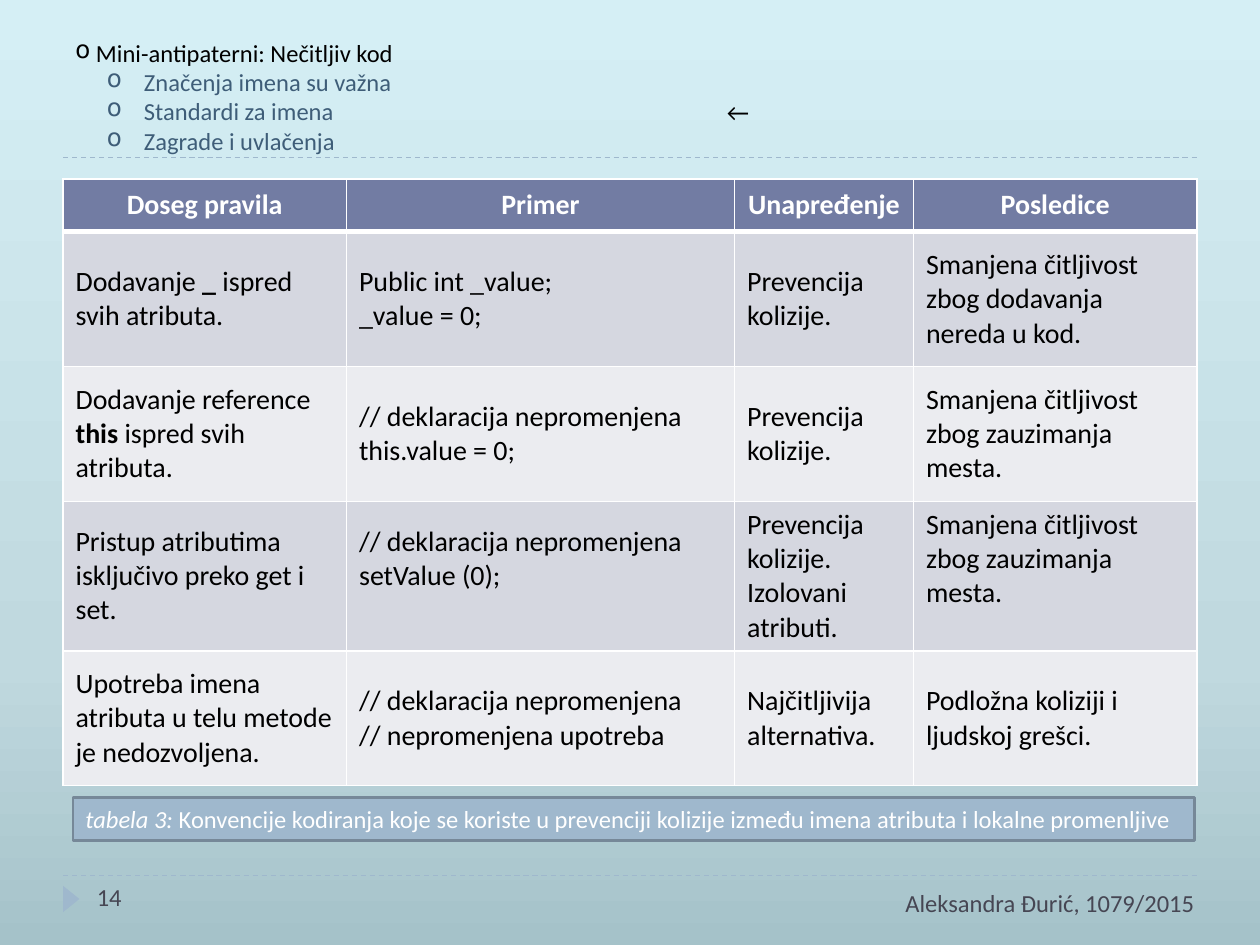
from copy import deepcopy
from lxml import etree
from pptx import Presentation
from pptx.dml.color import RGBColor
from pptx.enum.dml import MSO_LINE
from pptx.enum.shapes import MSO_CONNECTOR, MSO_SHAPE
from pptx.enum.text import MSO_ANCHOR, PP_ALIGN
from pptx.oxml.ns import qn
from pptx.util import Inches, Pt

STRAIGHT = MSO_CONNECTOR.STRAIGHT
DASH = MSO_LINE.DASH
RECT, TRIANGLE = MSO_SHAPE.RECTANGLE, MSO_SHAPE.ISOSCELES_TRIANGLE
MIDDLE = MSO_ANCHOR.MIDDLE
LEFT, CENTER, RIGHT = PP_ALIGN.LEFT, PP_ALIGN.CENTER, PP_ALIGN.RIGHT

FONT = "Calibri"
BLACK = RGBColor(0, 0, 0)
WHITE = RGBColor(255, 255, 255)
BLUE = RGBColor(0x9F, 0xB8, 0xCD)
BLUE_EDGE = RGBColor(0x76, 0x88, 0x98)
TOPIC = RGBColor(0x3E, 0x5D, 0x78)
FOOTER = RGBColor(0x46, 0x46, 0x53)
HEAD = RGBColor(0x72, 0x7C, 0xA3)
BANDS = [RGBColor(0xEB, 0xEC, 0xF0), RGBColor(0xD5, 0xD7, 0xE0)]
BACKGROUND = [(0, RGBColor(0xA5, 0xC2, 0xC9)), (0.3, RGBColor(0xC0, 0xD9, 0xDF)),
              (1, RGBColor(0xD5, 0xEF, 0xF5))]

TITLE = " Mini-antipaterni: Nečitljiv kod"
TOPICS = [" Značenja imena su važna", " Standardi za imena", " Zagrade i uvlačenja"]
CAPTION = [("tabela 3: ", "i"),
           ("Konvencije kodiranja koje se koriste u prevenciji kolizije "
            "između imena atributa i lokalne promenljive", "")]

DECLARATION = "// deklaracija nepromenjena"
COLLISION = "Prevencija kolizije."
SPACE_COST = "Smanjena čitljivost zbog zauzimanja mesta."
ROWS = [
    [["Doseg pravila"], ["Primer"], ["Unapređenje"], ["Posledice"]],
    [[[("Dodavanje ", ""), ("_ ", "b"), ("ispred svih atributa.", "")]],
     ["Public int _value;", "_value = 0;"], [COLLISION],
     ["Smanjena čitljivost zbog dodavanja nereda u kod."]],
    [[[("Dodavanje reference ", ""), ("this", "b"), (" ispred svih atributa.", "")]],
     [DECLARATION, "this.value = 0;"], [COLLISION], [SPACE_COST]],
    [["Pristup atributima isključivo preko get i set."],
     [DECLARATION, "setValue (0);"], [COLLISION + " Izolovani atributi."], [SPACE_COST]],
    [["Upotreba imena atributa u telu metode je nedozvoljena."],
     [DECLARATION, "// nepromenjena upotreba"], ["Najčitljivija alternativa."],
     ["Podložna koliziji i ljudskoj grešci."]],
]
COL_WIDTHS = [2.25, 3.08, 1.42, 2.25]
ROW_HEIGHTS = [0.42] + [1.07] * 4
RAISED_CELLS = [(3, 1), (3, 3)]


def style(font, size, color):
    font.name, font.size = FONT, Pt(size)
    font.color.rgb = color


def write(tf, paragraphs, size, color, align=LEFT):
    for i, runs in enumerate(paragraphs):
        p = tf.paragraphs[0] if i == 0 else tf.add_paragraph()
        p.alignment = align
        style(p.font, size, color)
        for text, mark in [(runs, "")] if isinstance(runs, str) else runs:
            r = p.add_run()
            r.text = text
            if mark == "b":
                r.font.bold = True
            elif mark == "i":
                r.font.italic = True


def text_box(s, box, paragraphs, color, align=LEFT):
    tf = s.shapes.add_textbox(*map(Inches, box)).text_frame
    tf.word_wrap = True
    write(tf, paragraphs, 14, color, align)
    return tf


def bullet(p, margin, indent):
    pPr = p._p.get_or_add_pPr()
    pPr.set("marL", str(Inches(margin)))
    pPr.set("indent", str(Inches(indent)))
    mark = etree.Element(qn("a:buChar"), char="o")
    pPr.insert(0, mark)


def border(cell, widths):
    tcPr = cell._tc.get_or_add_tcPr()
    for i, (side, width) in enumerate(zip("LRTB", widths)):
        ln = etree.Element(qn(f"a:ln{side}"), w=str(Pt(width)))
        fill = etree.SubElement(ln, qn("a:solidFill"))
        etree.SubElement(fill, qn("a:srgbClr"), val=str(WHITE))
        tcPr.insert(i, ln)


def paint_background(s):
    fill = s.background.fill
    fill.gradient()
    fill.gradient_angle = 90
    stops = s._element.find(".//" + qn("a:gsLst"))
    stops.insert(1, deepcopy(stops[0]))
    for stop, (position, color) in zip(fill.gradient_stops, BACKGROUND):
        stop.position = position
        stop.color.rgb = color


def add_rule(s, y):
    line = s.shapes.add_connector(STRAIGHT, Inches(0.5), Inches(y), Inches(9.5), Inches(y))
    line.line.color.rgb = BLUE
    line.line.width = Pt(0.75)
    line.line.dash_style = DASH
    etree.SubElement(line._element.spPr, qn("a:effectLst"))


def add_block(s, kind, box):
    sp = s.shapes.add_shape(kind, *map(Inches, box))
    sp.shadow.inherit = False
    sp.fill.solid()
    sp.fill.fore_color.rgb = BLUE
    return sp


def add_rules_table(s):
    table = s.shapes.add_table(len(ROWS), len(COL_WIDTHS), Inches(0.5), Inches(1.42),
                               Inches(sum(COL_WIDTHS)), Inches(sum(ROW_HEIGHTS))).table
    for col, width in zip(table.columns, COL_WIDTHS):
        col.width = Inches(width)
    for row, height in zip(table.rows, ROW_HEIGHTS):
        row.height = Inches(height)
    for i, row in enumerate(ROWS):
        for j, paragraphs in enumerate(row):
            cell = table.cell(i, j)
            cell.vertical_anchor = MIDDLE
            if (i, j) in RAISED_CELLS:
                cell.margin_bottom = Inches(0.32)
            cell.fill.solid()
            cell.fill.fore_color.rgb = BANDS[i % 2] if i else HEAD
            border(cell, (1, 1, 3 if i == 1 else 1, 1 if i else 3))
            write(cell.text_frame, paragraphs, 16, BLACK if i else WHITE,
                  LEFT if i else CENTER)
            if i == 0:
                cell.text_frame.paragraphs[0].font.bold = True


def main():
    prs = Presentation()
    prs.slide_width, prs.slide_height = Inches(10), Inches(7.5)
    s = prs.slides.add_slide(prs.slide_layouts[6])
    paint_background(s)
    for y in (6.95, 1.25):
        add_rule(s, y)
    arrow = add_block(s, TRIANGLE, (0.46, 7.07, 0.21, 0.13))
    arrow.rotation = 90
    arrow.line.fill.background()

    add_rules_table(s)
    text_box(s, (5.75, 7, 3.83, 0.5), ["Aleksandra Đurić, 1079/2015"], FOOTER, RIGHT)
    text_box(s, (0.67, 6.95, 2.17, 0.4), ["14"], FOOTER)

    outline = text_box(s, (0.5, 0.25, 2.85, 1.04), [TITLE] + TOPICS, TOPIC)
    for i, p in enumerate(outline.paragraphs):
        bullet(p, *((0.5, -0.25) if i else (0, 0)))
        p.level = 1 if i else 0
    outline.paragraphs[0].font.color.rgb = BLACK
    text_box(s, (5.67, 0.72, 0.79, 0.34), ["←"], BLACK)

    caption = add_block(s, RECT, (0.58, 6.33, 8.9, 0.34))
    caption.line.color.rgb = BLUE_EDGE
    caption.line.width = Pt(1.5)
    caption.text_frame.word_wrap = False
    write(caption.text_frame, [CAPTION], 14, WHITE)
    prs.save("out.pptx")


if __name__ == "__main__":
    main()
